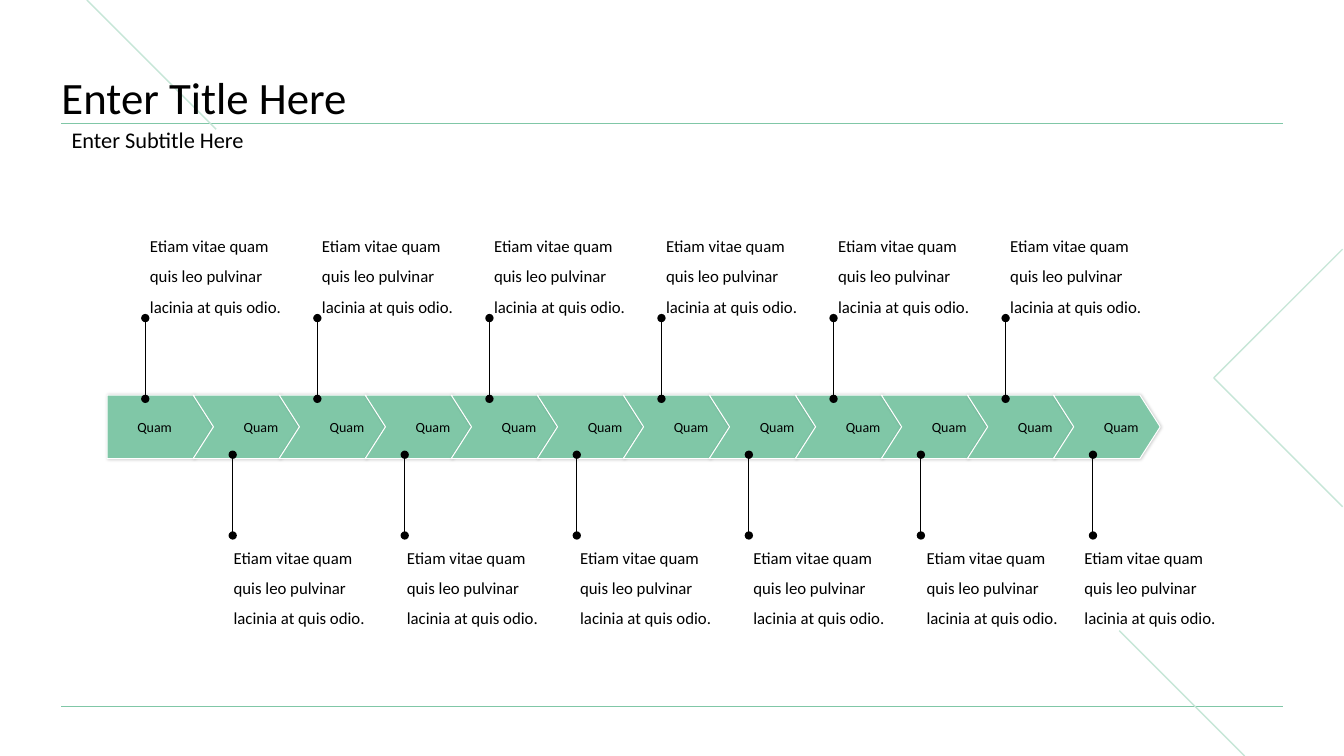
from lxml.etree import SubElement
from pptx import Presentation
from pptx.dml.color import RGBColor
from pptx.enum.shapes import MSO_CONNECTOR, MSO_SHAPE
from pptx.enum.text import MSO_ANCHOR, MSO_AUTO_SIZE, PP_ALIGN
from pptx.oxml import parse_xml
from pptx.oxml.ns import nsdecls, qn
from pptx.util import Pt

COLORS = {"green": "80C7A7", "pale": "C6E6D7", "black": "000000", "white": "FFFFFF"}
FONT = "Calibri"
NOTE = "Etiam vitae quam quis leo pulvinar lacinia at quis odio."
STEPS = 12
STEP = 61.45  # pitch of the chevrons; each row of pins uses every second one


def color(name):
    return RGBColor.from_string(COLORS[name])


def set_text(shape, text, size, spacing=1.0, anchor=MSO_ANCHOR.MIDDLE):
    frame = shape.text_frame
    frame.text = text
    frame.word_wrap = True
    frame.vertical_anchor = anchor
    para = frame.paragraphs[0]
    para.alignment = PP_ALIGN.LEFT
    para.line_spacing = spacing
    font = para.runs[0].font
    font.name, font.size = FONT, Pt(size)
    font.color.rgb = color("black")
    return frame


def set_inset(frame, left):
    frame.margin_left = Pt(left)
    frame.margin_top = frame.margin_right = frame.margin_bottom = Pt(0)


def place(shape, left, top, width, height):
    shape.left, shape.top = Pt(left), Pt(top)
    shape.width, shape.height = Pt(width), Pt(height)


def add_line(slide, start, end, tone, width, dots=False):
    line = slide.shapes.add_connector(
        MSO_CONNECTOR.STRAIGHT, *[Pt(v) for v in (*start, *end)])
    line.line.color.rgb = color(tone)
    line.line.width = Pt(width)
    if dots:
        edge = line.line._get_or_add_ln()
        for tag in ("a:headEnd", "a:tailEnd"):
            SubElement(edge, qn(tag), type="oval")
    SubElement(line.element.spPr, qn("a:effectLst"))


def add_corner(slide):
    draft = slide.shapes.build_freeform(Pt(959), Pt(178))
    draft.add_line_segments([(Pt(867), Pt(270)), (Pt(959), Pt(362))], close=False)
    corner = draft.convert_to_shape()
    corner.shadow.inherit = False
    corner.fill.background()
    corner.line.color.rgb = color("pale")
    corner.line.width = Pt(1)


def add_step(slide, kind, left):
    step = slide.shapes.add_shape(kind, Pt(left), Pt(282.2), Pt(76.3), Pt(45.4))
    step.adjustments[0] = 0.32
    step.fill.solid()
    step.fill.fore_color.rgb = color("green")
    step.line.color.rgb = color("white")
    step.line.width = Pt(0.75)
    step.element.spPr.append(parse_xml(
        f'<a:effectLst {nsdecls("a")}>'
        f'<a:outerShdw blurRad="{Pt(2.2)}" dist="{Pt(0.8)}" dir="0" rotWithShape="0">'
        f'<a:srgbClr val="{COLORS["black"]}"><a:alpha val="20000"/></a:srgbClr>'
        '</a:outerShdw></a:effectLst>'))
    set_inset(set_text(step, "Quam", 10), 21.6)


def add_note(slide, left, top):
    note = slide.shapes.add_textbox(Pt(left), Pt(top), Pt(115.9), Pt(70.6))
    set_text(note, NOTE, 12, 1.5).auto_size = MSO_AUTO_SIZE.SHAPE_TO_FIT_TEXT


def add_heads(slide):
    title, body = slide.placeholders
    place(title, 43.9, 31.7, 872.6, 57)
    frame = set_text(title, "Enter Title Here", 32, 0.9, MSO_ANCHOR.BOTTOM)
    set_inset(frame, 0)
    frame.auto_size = MSO_AUTO_SIZE.NONE

    place(body, 43.9, 88.6, 872.6, 24.5)
    frame = set_text(body, "Enter Subtitle Here", 16, 0.9)
    frame.auto_size = MSO_AUTO_SIZE.SHAPE_TO_FIT_TEXT
    para = frame.paragraphs[0]
    para.space_before = Pt(10)
    props = para._p.get_or_add_pPr()
    props.set("marL", "0")
    props.set("indent", "0")
    SubElement(props, qn("a:buNone"))

    # Bring both heads in front of the backdrop
    for head in (title, body):
        head.element.getparent().append(head.element)


def main():
    deck = Presentation()
    deck.slide_width, deck.slide_height = Pt(960), Pt(540)
    slide = deck.slides.add_slide(deck.slide_layouts[1])

    # Backdrop: rules, diagonals and corner
    for level in (504.7, 88.4):
        add_line(slide, (43.9, level), (916.6, level), "green", 0.5)
    add_line(slide, (799.5, 450.5), (889, 540), "pale", 1)
    add_line(slide, (62, 0), (154.4, 92.4), "pale", 1)
    add_corner(slide)

    add_heads(slide)

    # Chain of steps
    for i in range(STEPS):
        kind = MSO_SHAPE.CHEVRON if i else MSO_SHAPE.PENTAGON
        add_step(slide, kind, 76.5 + i * STEP)

    # Notes above and below; the last lower one sits closer in
    pairs = STEPS // 2
    for i in range(pairs):
        add_note(slide, 100 + i * 2 * STEP, 158.4)
        add_note(slide, 159.8 + i * 123.75 if i < pairs - 1 else 767.5, 380.9)

    # Pins joining steps and notes
    for i in range(pairs):
        for left, top in ((103.8, 227.2), (166.2, 324.8)):
            spot = left + i * 2 * STEP
            add_line(slide, (spot, top), (spot, top + 57.7), "black", 0.75, dots=True)

    deck.save("out.pptx")


if __name__ == "__main__":
    main()
